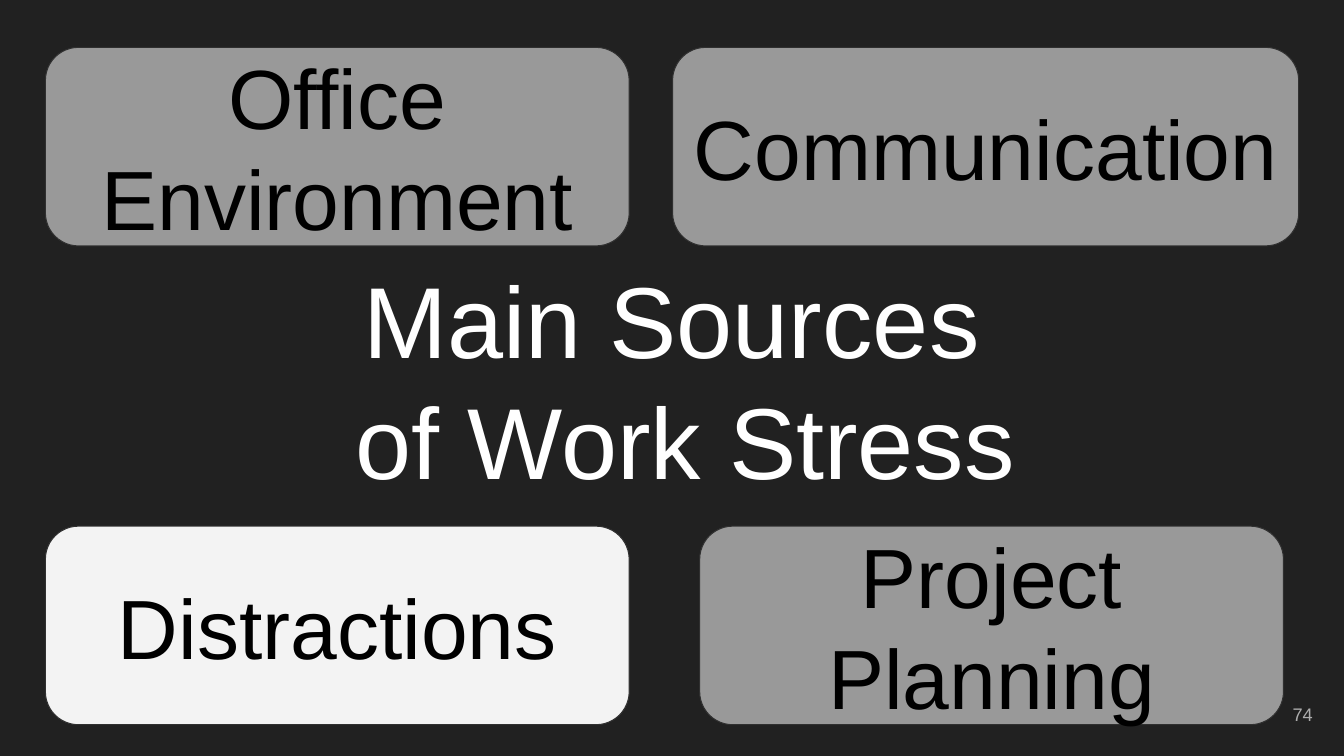
from dataclasses import dataclass

from pptx import Presentation, util as u
from pptx.dml.color import RGBColor
from pptx.enum import shapes, text


@dataclass(frozen=True)
class Theme:
    font: str = "Arial"
    back: str = "212121"
    edge: str = "303030"
    dim: str = "999999"
    lit: str = "F3F3F3"
    ink: str = "000000"
    head: str = "FFFFFF"
    note: str = "ADADAD"
    head_size: int = 72
    card_size: int = 60
    note_size: int = 13


@dataclass(frozen=True)
class Area:
    """Shares of the slide, in percent."""
    x: float
    y: float
    w: float
    h: float


@dataclass(frozen=True)
class Card:
    label: str
    area: Area
    fill: str


THEME = Theme()
WIDE, HIGH = u.Inches(13.33), u.Inches(7.5)

# Two rows of cards around the title
LEFT, SPAN, TALL = 3.38, 43.44, 26.27
TOP, LOW = 6.27, 69.6
CARDS = [
    Card("Project Planning", Area(52.06, LOW, SPAN, TALL), THEME.dim),
    Card("Office Environment", Area(LEFT, TOP, SPAN, TALL), THEME.dim),
    Card("Communication", Area(50.04, TOP, 46.59, TALL), THEME.dim),
    Card("Distractions", Area(LEFT, LOW, SPAN, TALL), THEME.lit),
]


def color(code: str) -> RGBColor:
    return RGBColor.from_string(code)


def frame(area: Area) -> tuple[int, int, int, int]:
    return (int(WIDE * area.x / 100), int(HIGH * area.y / 100),
            int(WIDE * area.w / 100), int(HIGH * area.h / 100))


def write(shape, *lines: str, size: int, ink: str, pad: float = 0.13,
          align=text.PP_ALIGN.CENTER) -> None:
    body = shape.text_frame
    body.word_wrap = True
    body.auto_size = text.MSO_AUTO_SIZE.NONE
    body.vertical_anchor = text.MSO_ANCHOR.MIDDLE
    body.margin_left = body.margin_right = u.Inches(pad)
    body.margin_top = body.margin_bottom = u.Inches(pad)
    body.text = "\n".join(lines)
    for para in body.paragraphs:
        para.alignment = align
        for run in para.runs:
            run.font.name = THEME.font
            run.font.size = u.Pt(size)
            run.font.color.rgb = color(ink)


def draw(slide, card: Card) -> None:
    box = slide.shapes.add_shape(
        shapes.MSO_SHAPE.ROUNDED_RECTANGLE, *frame(card.area))
    box.shadow.inherit = False
    box.fill.solid()
    box.fill.fore_color.rgb = color(card.fill)
    box.line.color.rgb = color(THEME.edge)
    box.line.width = u.Pt(0.75)
    write(box, card.label, size=THEME.card_size, ink=THEME.ink, pad=0.1)


def main() -> None:
    deck = Presentation()
    deck.slide_width, deck.slide_height = WIDE, HIGH
    slide = deck.slides.add_slide(deck.slide_layouts[5])
    slide.background.fill.solid()
    slide.background.fill.fore_color.rgb = color(THEME.back)

    # Title
    title = slide.shapes.title
    title.left, title.top, title.width, title.height = frame(
        Area(LEFT, 41.87, 93.17, 16.4))
    write(title, "Main Sources", " of Work Stress",
          size=THEME.head_size, ink=THEME.head)

    # Page number
    page = slide.shapes.add_textbox(*frame(Area(92.65, 90.67, 6, 7.6)))
    write(page, "74", size=THEME.note_size, ink=THEME.note,
          align=text.PP_ALIGN.RIGHT)

    # Cards
    for card in CARDS:
        draw(slide, card)

    deck.save("out.pptx")


if __name__ == "__main__":
    main()
